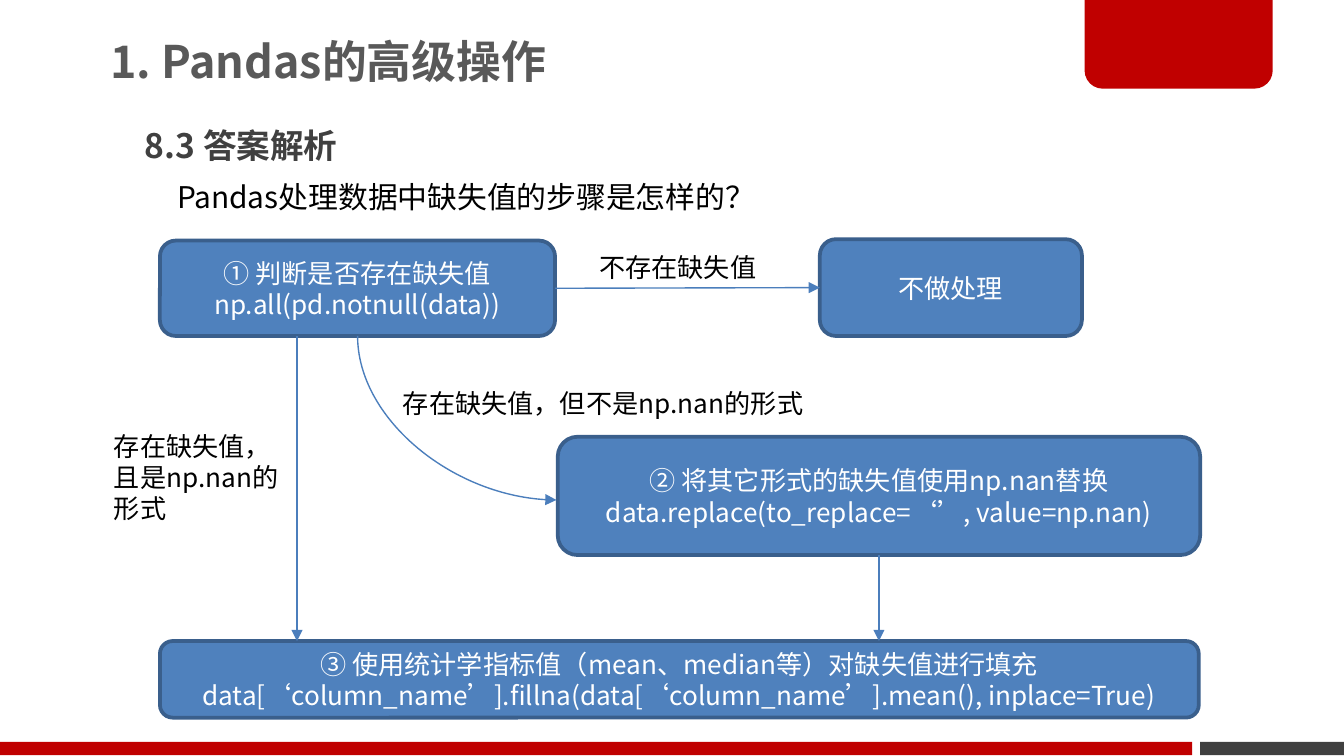
"""Build the slide on the steps for handling missing values in Pandas."""
from dataclasses import dataclass
from typing import Optional

from lxml.etree import SubElement
from pptx import Presentation
from pptx.dml.color import RGBColor
from pptx.enum.shapes import MSO_CONNECTOR, MSO_SHAPE
from pptx.enum.text import MSO_ANCHOR, PP_ALIGN
from pptx.oxml.ns import qn
from pptx.shapes.autoshape import Shape
from pptx.shapes.connector import Connector
from pptx.slide import Slide
from pptx.util import Inches, Pt

TOP, LEFT, BOTTOM, RIGHT = range(4)
SLIDE_WIDTH = 10
SLIDE_HEIGHT = SLIDE_WIDTH * 9 / 16


@dataclass(frozen=True)
class Theme:
    font: str = "Noto Sans CJK SC"
    red: str = "C00000"
    dark: str = "404040"
    title: str = "595959"
    black: str = "000000"
    white: str = "FFFFFF"
    box_fill: str = "4F81BD"
    box_line: str = "3A5F8C"
    arrow: str = "4B7EBC"
    title_size: int = 24
    heading_size: int = 18
    question_size: int = 16
    body_size: int = 14


THEME = Theme()


@dataclass(frozen=True)
class Area:
    left: float
    top: float
    width: float
    height: float

    def lengths(self) -> tuple:
        return tuple(Inches(value) for value in (self.left, self.top, self.width, self.height))


@dataclass(frozen=True)
class Label:
    area: Area
    lines: tuple[str, ...]
    size: int = THEME.body_size
    color: str = THEME.black
    bold: bool = False


@dataclass(frozen=True)
class Step:
    name: str
    area: Area
    lines: tuple[str, ...]


@dataclass(frozen=True)
class Arrow:
    start: tuple[float, float]
    end: tuple[float, float]
    source: Optional[tuple[str, int]] = None
    target: Optional[tuple[str, int]] = None
    curved: bool = False


TITLE = Label(Area(0.75, 0.03, 5.89, 0.89), ("1. Pandas的高级操作",), THEME.title_size, THEME.title, True)

LABELS = (
    Label(Area(0.98, 0.88, 3.84, 0.4), ("8.3 答案解析",), THEME.heading_size, THEME.dark, True),
    Label(Area(1.22, 1.28, 4.65, 0.37), ("Pandas处理数据中缺失值的步骤是怎样的？",), THEME.question_size),
    Label(Area(2.9, 2.83, 3.2, 0.34), ("存在缺失值，但不是np.nan的形式",)),
    Label(Area(0.75, 3.15, 1.44, 0.81), ("存在缺失值，", "且是np.nan的", "形式")),
    Label(Area(4.36, 1.82, 1.38, 0.34), ("不存在缺失值",)),
)

STEPS = (
    Step("check", Area(1.19, 1.79, 2.94, 0.71), ("① 判断是否存在缺失值np.all(pd.notnull(data))",)),
    Step("replace", Area(4.15, 3.25, 4.78, 0.88),
         ("② 将其它形式的缺失值使用np.nan替换", "data.replace(to_replace=‘’, value=np.nan)")),
    Step("fill", Area(1.19, 4.77, 7.73, 0.57),
         ("③ 使用统计学指标值（mean、median等）对缺失值进行填充",
          "data[‘column_name’].fillna(data[‘column_name’].mean(), inplace=True)")),
    Step("skip", Area(6.1, 1.78, 1.95, 0.72), ("不做处理",)),
)

ARROWS = (
    Arrow((4.14, 2.14), (6.1, 2.14), ("check", RIGHT), ("skip", LEFT)),
    Arrow((2.66, 2.5), (4.14, 3.72), ("check", BOTTOM), curved=True),
    Arrow((6.54, 4.13), (6.54, 4.77), ("replace", BOTTOM)),
    Arrow((2.21, 2.5), (2.21, 4.77)),
)


def write_lines(shape: Shape, lines: tuple[str, ...], size: int, color: str,
                bold: bool = False, alignment: PP_ALIGN = PP_ALIGN.LEFT) -> None:
    frame = shape.text_frame
    frame.word_wrap = True
    for index, line in enumerate(lines):
        paragraph = frame.add_paragraph() if index else frame.paragraphs[0]
        paragraph.alignment = alignment
        run = paragraph.add_run()
        run.text = line
        run.font.size = Pt(size)
        run.font.bold = bold
        run.font.color.rgb = RGBColor.from_string(color)
        run.font.name = THEME.font
        SubElement(run.font._element, qn("a:ea"), typeface=THEME.font)


def add_filled(slide: Slide, kind: MSO_SHAPE, area: Area, color: str) -> Shape:
    shape = slide.shapes.add_shape(kind, *area.lengths())
    shape.shadow.inherit = False
    shape.fill.solid()
    shape.fill.fore_color.rgb = RGBColor.from_string(color)
    shape.line.fill.background()
    return shape


def add_label(slide: Slide, label: Label) -> Shape:
    shape = slide.shapes.add_textbox(*label.area.lengths())
    write_lines(shape, label.lines, label.size, label.color, label.bold)
    return shape


def add_title(slide: Slide) -> None:
    frame = add_label(slide, TITLE).text_frame
    frame.vertical_anchor = MSO_ANCHOR.MIDDLE
    frame.margin_left = frame.margin_right = Inches(0.07)
    frame.margin_top = frame.margin_bottom = Inches(0.04)
    frame.paragraphs[0].line_spacing = 0.9


def add_step(slide: Slide, step: Step) -> Shape:
    shape = add_filled(slide, MSO_SHAPE.ROUNDED_RECTANGLE, step.area, THEME.box_fill)
    shape.line.color.rgb = RGBColor.from_string(THEME.box_line)
    shape.line.width = Pt(2)
    shape.text_frame.vertical_anchor = MSO_ANCHOR.MIDDLE
    write_lines(shape, step.lines, THEME.body_size, THEME.white, alignment=PP_ALIGN.CENTER)
    return shape


def bend_down_then_right(connector: Connector) -> None:
    left, top, width, height = connector.left, connector.top, connector.width, connector.height
    connector.left = left + (width - height) // 2
    connector.top = top + (height - width) // 2
    connector.width, connector.height = height, width
    properties = connector._element.spPr
    transform = properties.find(qn("a:xfrm"))
    transform.set("rot", "16200000")
    transform.set("flipH", "1")
    properties.find(qn("a:prstGeom")).set("prst", "curvedConnector2")


def add_arrow(slide: Slide, arrow: Arrow, boxes: dict[str, Shape]) -> None:
    kind = MSO_CONNECTOR.CURVE if arrow.curved else MSO_CONNECTOR.STRAIGHT
    points = [Inches(value) for value in (*arrow.start, *arrow.end)]
    connector = slide.shapes.add_connector(kind, *points)
    if arrow.source:
        connector.begin_connect(boxes[arrow.source[0]], arrow.source[1])
    if arrow.target:
        connector.end_connect(boxes[arrow.target[0]], arrow.target[1])
    if arrow.curved:
        bend_down_then_right(connector)
    connector.line.color.rgb = RGBColor.from_string(THEME.arrow)
    connector.line.width = Pt(0.75)
    SubElement(connector.line._get_or_add_ln(), qn("a:tailEnd"), type="triangle")
    SubElement(connector._element.spPr, qn("a:effectLst"))


def main() -> None:
    presentation = Presentation()
    presentation.slide_width = Inches(SLIDE_WIDTH)
    presentation.slide_height = Inches(SLIDE_HEIGHT)
    slide = presentation.slides.add_slide(presentation.slide_layouts[6])
    add_filled(slide, MSO_SHAPE.RECTANGLE, Area(8.93, 5.52, 1.07, 0.1), THEME.dark)
    tab = add_filled(slide, MSO_SHAPE.ROUND_2_SAME_RECTANGLE, Area(8.07, -0.02, 1.4, 0.68), THEME.red)
    tab.adjustments[0], tab.adjustments[1] = 0, 0.2
    add_filled(slide, MSO_SHAPE.RECTANGLE, Area(0, 5.52, 8.87, 0.1), THEME.red)
    add_title(slide)
    boxes = {step.name: add_step(slide, step) for step in STEPS}
    for arrow in ARROWS:
        add_arrow(slide, arrow, boxes)
    for label in LABELS:
        add_label(slide, label)
    presentation.save("out.pptx")


if __name__ == "__main__":
    main()
